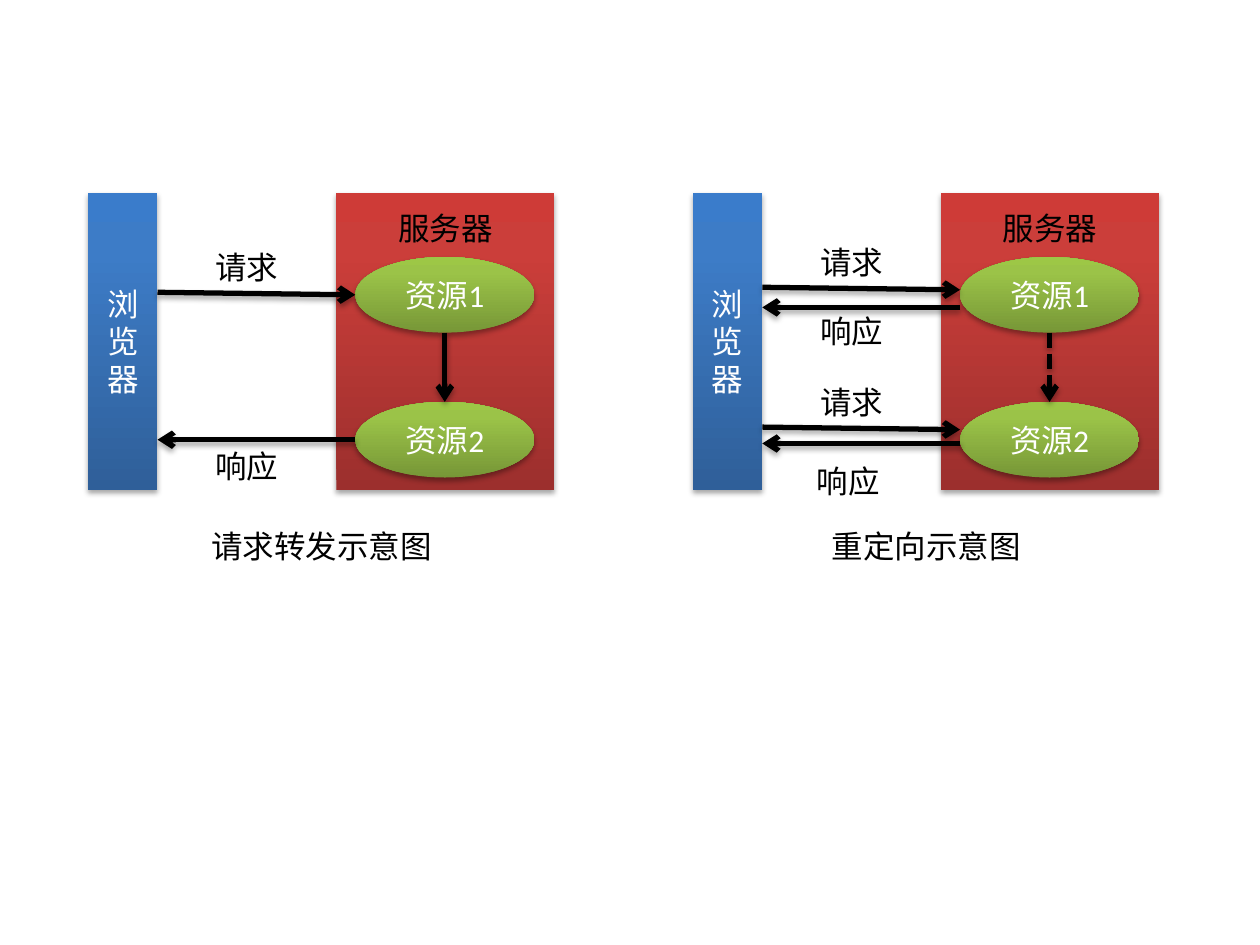
import copy

from lxml import etree
from pptx import Presentation
from pptx import util as u
from pptx.dml.color import RGBColor
from pptx.enum import dml, shapes, text
from pptx.oxml.ns import qn

BLUE = ("2F5F99", "3D7CC7", "3A7CCB")
RED = ("9C2F2D", "CB3E3A", "CE3B37")
GREEN = ("779737", "9BC348", "9DC746")
STOPS = (0, 0.8, 1)
BLACK, WHITE = "000000", "FFFFFF"

TOP, HEIGHT = 1.53, 2.36
BROWSER_W, SERVER_DX, SERVER_W = 0.55, 1.97, 1.73
RESOURCE_DX, RESOURCE_W, RESOURCE_H = 2.12, 1.42, 0.6
RESOURCES = [("资源1", 2.04), ("资源2", 3.19)]
LABEL_W, LABEL_H = 1.42, 0.4

# Messages hold: wording, goes to the server, arrow start y, label left offset, label top.
PANELS = [
    {"left": 0.7, "caption": "请求转发示意图", "dashed": False, "messages": [
        ("请求", True, 2.32, 0.55, 1.92),
        ("响应", False, 3.49, 0.55, 3.5)]},
    {"left": 5.5, "caption": "重定向示意图", "dashed": True, "messages": [
        ("请求", True, 2.28, 0.55, 1.88),
        ("响应", False, 2.44, 0.55, 2.43),
        ("请求", True, 3.39, 0.55, 2.99),
        ("响应", False, 3.52, 0.52, 3.62)]},
]


def color(value):
    """Return the colour for a hex string."""
    return RGBColor.from_string(value)


def add_shadow(sp_pr):
    """Give a shape or connector the soft shadow below it."""
    effects = sp_pr.find(qn("a:effectLst"))
    if effects is None:
        effects = etree.SubElement(sp_pr, qn("a:effectLst"))
    shadow = etree.SubElement(effects, qn("a:outerShdw"), blurRad="40000",
                              dist="23000", dir="5400000", rotWithShape="0")
    tint = etree.SubElement(shadow, qn("a:srgbClr"), val=BLACK)
    etree.SubElement(tint, qn("a:alpha"), val="35000")


def write(tf, lines, fill):
    """Write centred lines into a text frame."""
    tf.word_wrap = True
    for i, line in enumerate(lines):
        p = tf.add_paragraph() if i else tf.paragraphs[0]
        p.text = line
        p.alignment = text.PP_ALIGN.CENTER
        p.font.size = u.Pt(18)
        p.font.name = "Calibri"
        p.font.color.rgb = color(fill)


def add_box(s, kind, at, gradient, lines=()):
    """Add a shaded shape with white text in its middle."""
    sp = s.shapes.add_shape(kind, *map(u.Inches, at))
    sp.fill.gradient()
    sp.fill.gradient_angle = 90
    stop_list = sp._element.spPr.find(".//" + qn("a:gsLst"))
    stop_list.append(copy.deepcopy(stop_list[0]))
    for stop, position, value in zip(sp.fill.gradient_stops, STOPS, gradient):
        stop.position = position
        stop.color.rgb = color(value)
    sp.line.fill.background()
    sp.shadow.inherit = False
    add_shadow(sp._element.spPr)
    sp.text_frame.vertical_anchor = text.MSO_ANCHOR.MIDDLE
    write(sp.text_frame, lines, WHITE)
    return sp


def add_label(s, at, line):
    """Add a black text label."""
    tf = s.shapes.add_textbox(*map(u.Inches, at)).text_frame
    tf.auto_size = text.MSO_AUTO_SIZE.SHAPE_TO_FIT_TEXT
    write(tf, [line], BLACK)


def add_arrow(s, start, end, dashed=False):
    """Add a thick black arrow."""
    cx = s.shapes.add_connector(shapes.MSO_CONNECTOR.STRAIGHT,
                                *map(u.Inches, start + end))
    cx.line.color.rgb = color(BLACK)
    cx.line.width = u.Pt(3)
    if dashed:
        cx.line.dash_style = dml.MSO_LINE.SQUARE_DOT
    etree.SubElement(cx.line._get_or_add_ln(), qn("a:tailEnd"), type="arrow")
    add_shadow(cx._element.spPr)
    return cx


def add_panel(s, left, caption, dashed, messages):
    """Draw one browser and server diagram with its caption."""
    server_x, resource_x = left + SERVER_DX, left + RESOURCE_DX
    browser_right = left + BROWSER_W
    rect, oval = shapes.MSO_SHAPE.RECTANGLE, shapes.MSO_SHAPE.OVAL
    add_box(s, rect, (left, TOP, BROWSER_W, HEIGHT), BLUE, "浏览器")
    add_box(s, rect, (server_x, TOP, SERVER_W, HEIGHT), RED)
    add_label(s, (server_x, TOP + 0.08, SERVER_W, LABEL_H), "服务器")
    first, second = [
        add_box(s, oval, (resource_x, y, RESOURCE_W, RESOURCE_H), GREEN, [name])
        for name, y in RESOURCES]
    middle = resource_x + RESOURCE_W / 2
    forward = add_arrow(s, (middle, RESOURCES[0][1] + RESOURCE_H),
                        (middle, RESOURCES[1][1]), dashed)
    forward.end_connect(second, 0)
    for wording, to_server, y, label_dx, label_y in messages:
        if to_server:
            add_arrow(s, (browser_right, y), (resource_x, y + 0.02))
        else:
            add_arrow(s, (resource_x, y), (browser_right, y))
        add_label(s, (left + label_dx, label_y, LABEL_W, LABEL_H), wording)
    add_label(s, (left, 4.13, SERVER_DX + SERVER_W, LABEL_H), caption)


def main():
    """Build the slide and save it."""
    prs = Presentation()
    prs.slide_width, prs.slide_height = u.Inches(10), u.Inches(7.5)
    s = prs.slides.add_slide(prs.slide_layouts[6])
    for panel in PANELS:
        add_panel(s, **panel)
    prs.save("out.pptx")


if __name__ == "__main__":
    main()
